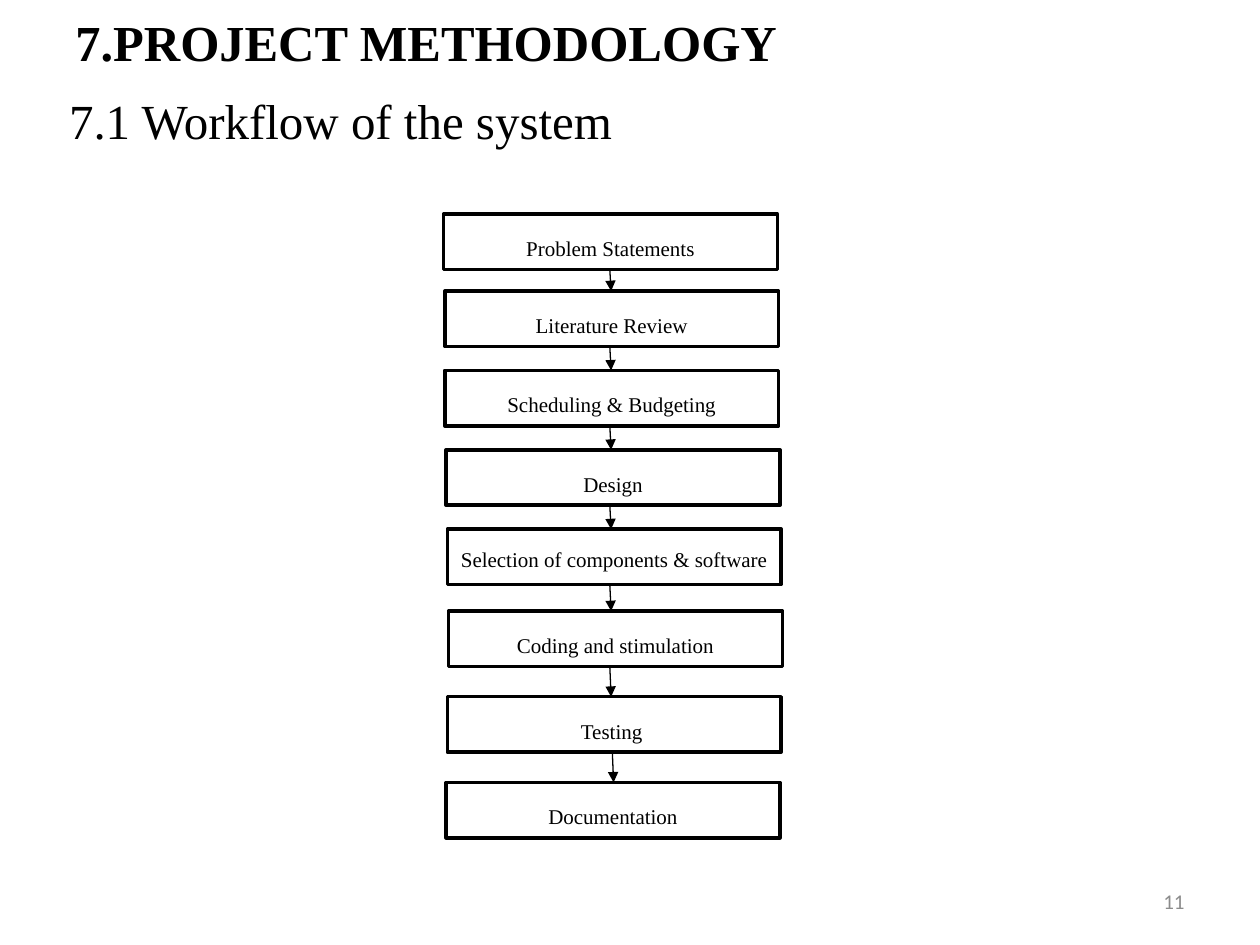
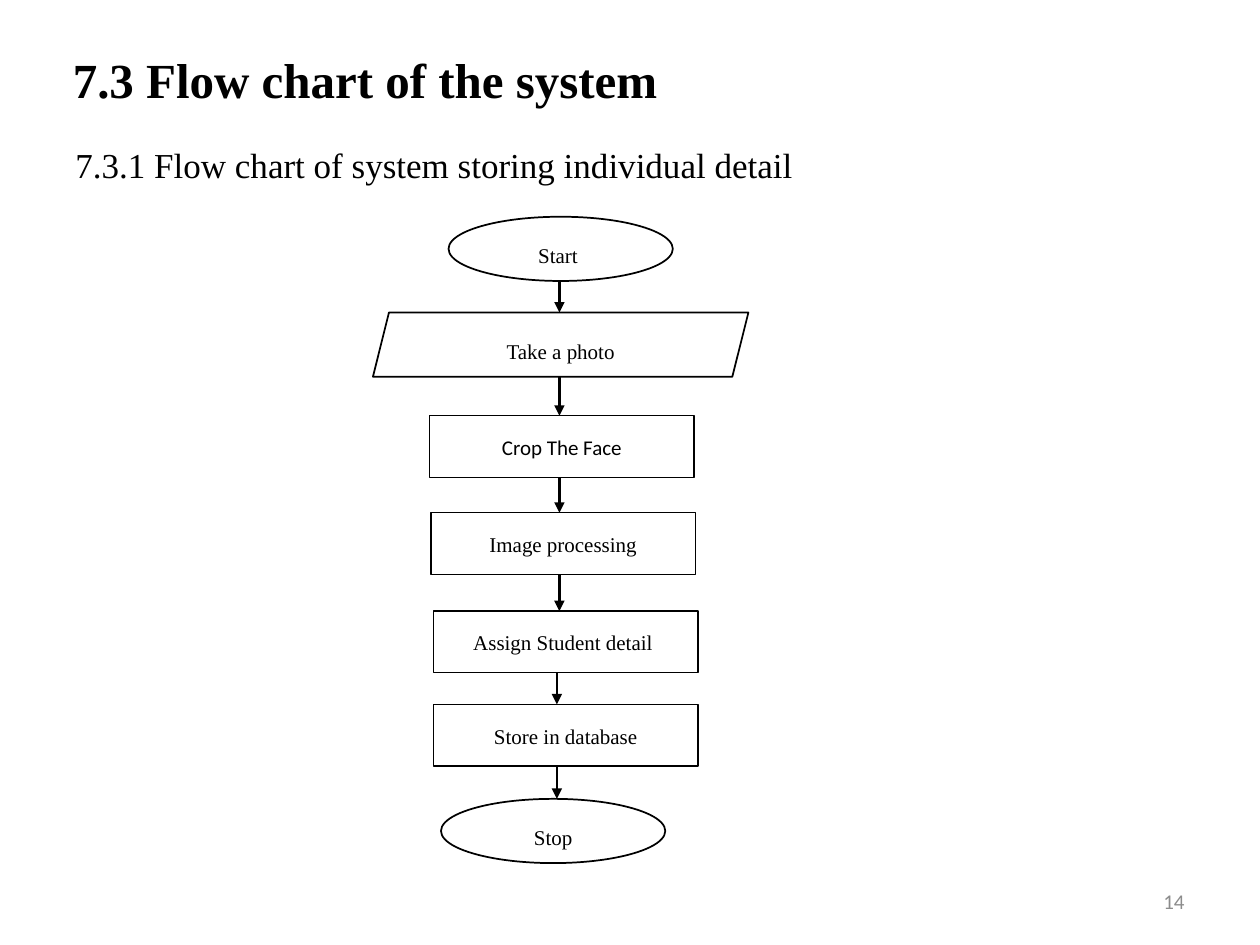
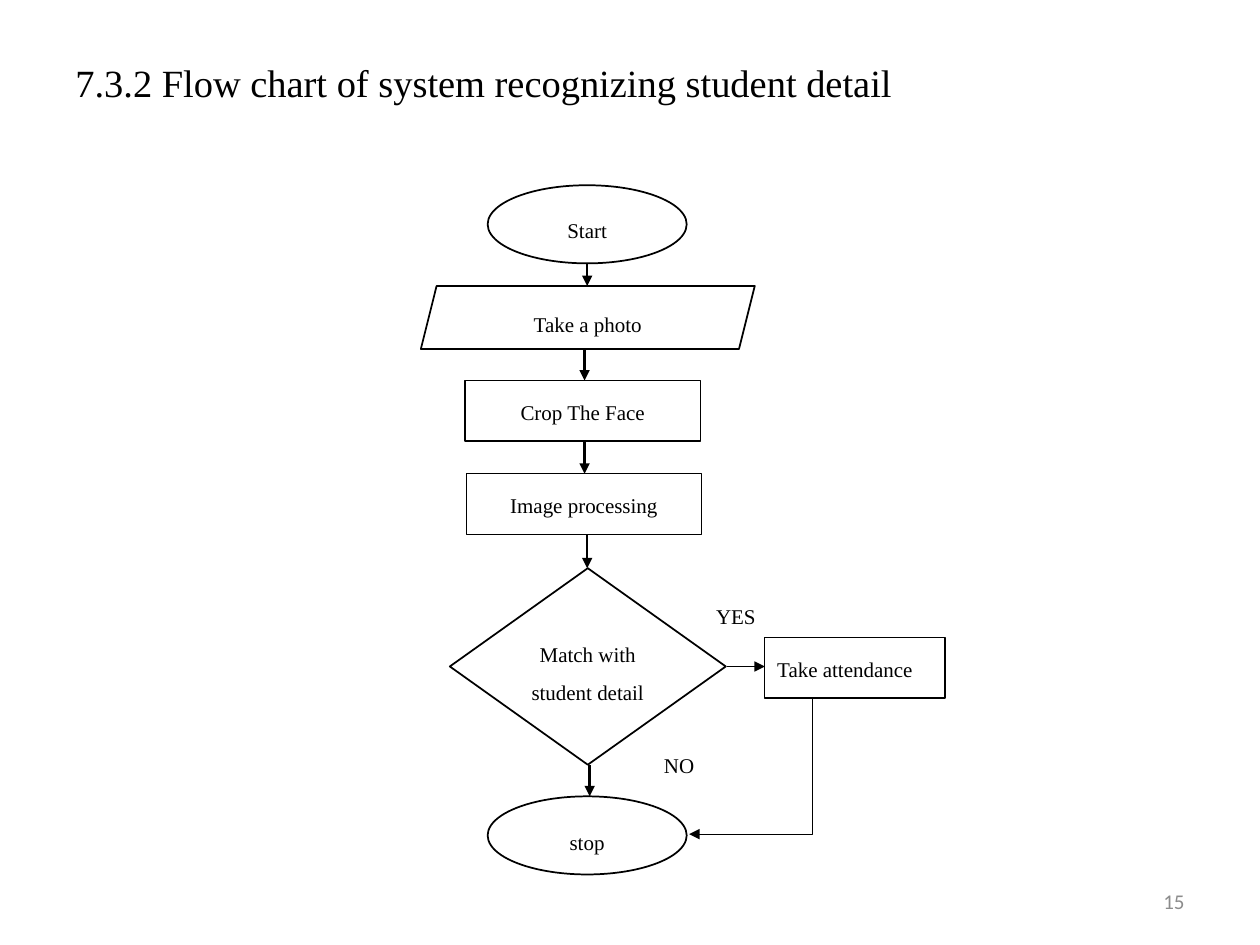
"""Build three slides of workflow and flow charts."""
from dataclasses import dataclass

from lxml.etree import SubElement
from pptx import Presentation
from pptx.dml.color import RGBColor as Rgb
from pptx.enum.shapes import MSO_CONNECTOR as Conn, MSO_SHAPE as Form
from pptx.enum.text import MSO_ANCHOR as Anchor, PP_ALIGN as Align
from pptx.oxml.ns import qn
from pptx.util import Inches, Pt


@dataclass(frozen=True)
class Theme:
    ink: Rgb = Rgb(0, 0, 0)
    paper: Rgb = Rgb(255, 255, 255)
    grey: Rgb = Rgb(0x8C, 0x8C, 0x8C)
    serif: str = "Times New Roman"
    sans: str = "Calibri"
    small: float = 12
    thin: float = 0.5
    lead: float = 1.5


T = Theme()
FOOT = (7.17, 6.95, 2.33, 0.4)

# kind: form, filled, line width, anchor
KINDS = {
    "step": (Form.RECTANGLE, True, 2, Anchor.MIDDLE),
    "task": (Form.RECTANGLE, False, 0.75, Anchor.TOP),
    "end": (Form.OVAL, True, 1, Anchor.MIDDLE),
    "data": (Form.PARALLELOGRAM, True, 1, Anchor.MIDDLE),
    "test": (Form.DIAMOND, True, 1, Anchor.MIDDLE),
    "tag": (Form.RECTANGLE, True, 0, Anchor.MIDDLE),
}

# heads: text, place, size, bold, anchor
# flow: text, kind, left, top, x of the arrow that leaves, text format
SLIDES = [
    {
        "page": 11,
        "heads": [
            ("7.PROJECT METHODOLOGY", (0.5, 0.08, 9, 0.5), 28.8, True, Anchor.MIDDLE),
            ("7.1 Workflow of the system", (0.45, 0.67, 9, 6.42), 28, False, Anchor.TOP),
        ],
        "sizes": {"step": (2.65, 0.44)},
        "pen": 0.75,
        "slant": 0.01,
        "flow": [
            ("Problem Statements", "step", 3.52, 1.7, 4.84, {}),
            ("Literature Review", "step", 3.53, 2.31, 4.84, {}),
            ("Scheduling & Budgeting", "step", 3.53, 2.94, 4.84, {}),
            ("Design", "step", 3.54, 3.57, 4.84, {}),
            ("Selection of components & software", "step", 3.55, 4.2, 4.84, {"lead": 1.15}),
            ("Coding and stimulation", "step", 3.56, 4.85, 4.84, {}),
            ("Testing ", "step", 3.55, 5.53, 4.86, {}),
            ("Documentation", "step", 3.54, 6.21, None, {}),
        ],
    },
    {
        "page": 14,
        "heads": [
            ("7.3 Flow chart of the system", (0.48, 0.15, 9, 0.95), 28, True, Anchor.MIDDLE),
            ("7.3.1 Flow chart of system storing individual detail",
             (0.5, 1.09, 9, 5.81), 20, False, Anchor.TOP),
        ],
        "sizes": {"end": (1.78, 0.51), "data": (2.98, 0.51), "task": (2.1, 0.49)},
        "pen": 1.5,
        "slant": 0,
        "flow": [
            ("Start ", "end", 3.56, 1.72, 4.44, {}),
            ("Take a photo", "data", 2.96, 2.48, 4.44, {}),
            ("Crop The Face", "task", 3.41, 3.3, 4.44, {"face": T.sans}),
            ("Image processing", "task", 3.42, 4.07, 4.44, {}),
            ("Assign Student detail ", "task", 3.44, 4.85, 4.42, {}),
            ("Store in database", "task", 3.44, 5.59, 4.42, {}),
            ("Stop", "end", 3.5, 6.34, None, {}),
        ],
    },
    {
        "page": 15,
        "heads": [
            ("7.3.2 Flow chart of system recognizing student detail",
             (0.5, 0.42, 9, 6.28), 22, False, Anchor.TOP),
        ],
        "sizes": {"end": (1.58, 0.62), "data": (2.65, 0.5),
                  "task": (1.87, 0.48), "test": (2.19, 1.56)},
        "pen": 1.5,
        "slant": 0,
        "flow": [
            ("Start", "end", 3.87, 1.47, 4.66, {}),
            ("Take a photo", "data", 3.34, 2.27, 4.64, {}),
            ("Crop The Face", "task", 3.69, 3.02, 4.64, {}),
            ("Image processing", "task", 3.7, 3.76, 4.66, {}),
            ("Match with student detail", "test", 3.57, 4.51, 4.68, {}),
            ("stop", "end", 3.87, 6.32, None, {}),
        ],
        "sides": [
            ("Take attendance", "task", (6.07, 5.06, 1.43, 0.48), {"align": Align.LEFT}),
            ("YES", "tag", (5.55, 4.64, 0.58, 0.4), {}),
            ("NO", "tag", (5.1, 5.83, 0.58, 0.39), {}),
        ],
        "links": [
            (Conn.STRAIGHT, (5.77, 5.29, 6.07, 5.29)),
            (Conn.ELBOW, (7.43, 5.54, 5.47, 6.62)),
        ],
    },
]


def apply(item, form):
    for name, value in form.items():
        setattr(item, name, value)


def write(shape, text, anchor, size=T.small, bold=False, face=T.serif,
          ink=T.ink, align=Align.LEFT, lead=1.0):
    frame = shape.text_frame
    apply(frame, {"word_wrap": True, "vertical_anchor": anchor})
    para = frame.paragraphs[0]
    apply(para, {"alignment": align, "line_spacing": lead})
    run = para.add_run()
    run.text = text
    apply(run.font, {"size": Pt(size), "bold": bold, "name": face})
    run.font.color.rgb = ink


def label(slide, text, place, anchor, **form):
    write(slide.shapes.add_textbox(*map(Inches, place)), text, anchor, **form)


def node(slide, text, kind, place, form):
    shape_type, filled, width, anchor = KINDS[kind]
    shape = slide.shapes.add_shape(shape_type, *map(Inches, place))
    shape.shadow.inherit = False
    if filled:
        shape.fill.solid()
        shape.fill.fore_color.rgb = T.paper
    else:
        shape.fill.background()
    if width:
        shape.line.color.rgb = T.ink
        shape.line.width = Pt(width)
    else:
        shape.line.fill.background()
    write(shape, text, anchor, **{"align": Align.CENTER, "lead": T.lead, **form})


def arrow(slide, kind, ends, width):
    link = slide.shapes.add_connector(kind, *map(Inches, ends))
    link.line.color.rgb = T.ink
    link.line.width = Pt(width)
    SubElement(link.line._get_or_add_ln(), qn("a:tailEnd"), type="triangle")
    SubElement(link._element.spPr, qn("a:effectLst"))


def chart(slide, data):
    flow, sizes = data["flow"], data["sizes"]
    for text, kind, left, top, _, form in flow:
        node(slide, text, kind, (left, top, *sizes[kind]), form)
    for (_, kind, _, top, x, _), below in zip(flow, flow[1:]):
        ends = (x, top + sizes[kind][1], x + data["slant"], below[3])
        arrow(slide, Conn.STRAIGHT, ends, data["pen"])
    for side in data.get("sides", []):
        node(slide, *side)
    for kind, ends in data.get("links", []):
        arrow(slide, kind, ends, T.thin)


def main():
    deck = Presentation()
    apply(deck, {"slide_width": Inches(10), "slide_height": Inches(7.5)})
    for data in SLIDES:
        slide = deck.slides.add_slide(deck.slide_layouts[6])
        for text, place, size, bold, anchor in data["heads"]:
            label(slide, text, place, anchor, size=size, bold=bold)
        label(slide, str(data["page"]), FOOT, Anchor.MIDDLE,
              face=T.sans, ink=T.grey, align=Align.RIGHT)
        chart(slide, data)
    deck.save("out.pptx")


if __name__ == "__main__":
    main()
